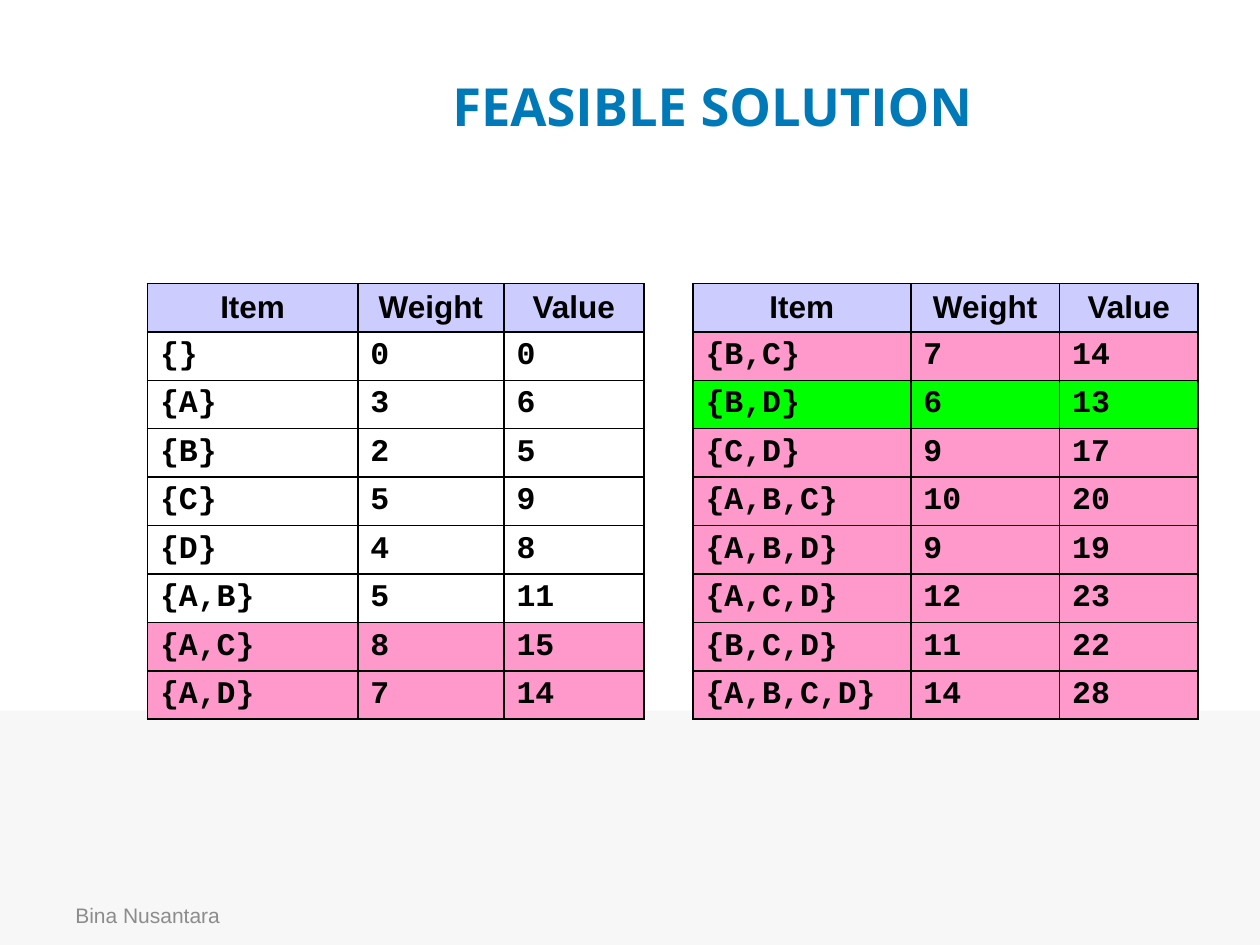
import itertools

import pptx
import pptx.dml.color
import pptx.enum.shapes
import pptx.enum.text
import pptx.oxml
import pptx.oxml.ns
import pptx.util

Inches = pptx.util.Inches
Pt = pptx.util.Pt
ALIGN = pptx.enum.text.PP_ALIGN
MIDDLE = pptx.enum.text.MSO_ANCHOR.MIDDLE

COLORS = {
    "page": "FFFFFF",
    "band": "F7F7F7",
    "footer": "8C8C8C",
    "title": "0079B8",
    "ink": "000000",
    "header": "CCCCFF",
    "too_heavy": "FF99CC",
    "best": "00FF00",
}

HEADINGS = ("Item", "Weight", "Value")
ITEMS = {"A": (3, 6), "B": (2, 5), "C": (5, 9), "D": (4, 8)}  # weight, value
CAPACITY = 6
ROWS_PER_SIDE = 8
GAP_COLUMN = len(HEADINGS)
COLUMN_WIDTHS = (1.67, 1.16, 1.11, 0.39, 1.73, 1.18, 1.1)
TABLE_HEIGHT = 3.46


def rgb(name):
    return pptx.dml.color.RGBColor.from_string(COLORS[name])


def write_text(frame, text, *, size, font, color="ink", bold=False, align=ALIGN.LEFT):
    paragraph = frame.paragraphs[0]
    paragraph.alignment = align
    run = paragraph.add_run()
    run.text = text
    run.font.size = Pt(size)
    run.font.name = font
    run.font.bold = bold
    run.font.color.rgb = rgb(color)


def set_borders(cell, sides):
    """Rule the given sides (L, R, T, B) and leave the others open."""
    properties = cell._tc.get_or_add_tcPr()
    for position, side in enumerate("LRTB"):
        paint = (
            f'<a:solidFill><a:srgbClr val="{COLORS["ink"]}"/></a:solidFill>'
            if side in sides
            else "<a:noFill/>"
        )
        line = pptx.oxml.parse_xml(
            f'<a:ln{side} {pptx.oxml.ns.nsdecls("a")} w="{Pt(1)}">{paint}</a:ln{side}>'
        )
        properties.insert(position, line)


def knapsack_rows():
    """Every subset of the items with its total weight, value and row colour."""
    subsets = [
        (
            "{" + ",".join(names) + "}",
            sum(ITEMS[name][0] for name in names),
            sum(ITEMS[name][1] for name in names),
        )
        for count in range(len(ITEMS) + 1)
        for names in itertools.combinations(ITEMS, count)
    ]
    best_value = max(value for _, weight, value in subsets if weight <= CAPACITY)
    rows = []
    for subset, weight, value in subsets:
        if weight > CAPACITY:
            fill = "too_heavy"
        else:
            fill = "best" if value == best_value else None
        rows.append(((subset, weight, value), fill))
    return rows


class SlideBuilder:
    """Holds the text style of the table and the slide being filled."""

    heading_style = {"size": 18, "font": "Arial", "bold": True, "align": ALIGN.CENTER}
    entry_style = {"size": 18, "font": "Courier New", "bold": True}

    def __init__(self, slide):
        self.slide = slide
        slide.background.fill.solid()
        slide.background.fill.fore_color.rgb = rgb("page")

    def band(self, left, top, width, height, color):
        band = self.slide.shapes.add_shape(
            pptx.enum.shapes.MSO_SHAPE.RECTANGLE,
            Inches(left), Inches(top), Inches(width), Inches(height),
        )
        band.shadow.inherit = False
        band.fill.solid()
        band.fill.fore_color.rgb = rgb(color)
        band.line.fill.background()

    def text(self, left, top, width, height, text, **style):
        box = self.slide.shapes.add_textbox(
            Inches(left), Inches(top), Inches(width), Inches(height)
        )
        box.text_frame.word_wrap = True
        box.text_frame.vertical_anchor = MIDDLE
        write_text(box.text_frame, text, **style)

    def fill_cell(self, cell, text, fill, style):
        write_text(cell.text_frame, str(text), **style)
        if fill:
            cell.fill.solid()
            cell.fill.fore_color.rgb = rgb(fill)

    def paired_table(self, left, top, sides):
        """Put two lists side by side in one table, with an open column between."""
        row_count = ROWS_PER_SIDE + 1
        table = self.slide.shapes.add_table(
            row_count, len(COLUMN_WIDTHS),
            Inches(left), Inches(top), Inches(sum(COLUMN_WIDTHS)), Inches(TABLE_HEIGHT),
        ).table
        table.first_row = table.horz_banding = False
        for column, width in zip(table.columns, COLUMN_WIDTHS):
            column.width = Inches(width)
        for row in table.rows:
            row.height = Inches(TABLE_HEIGHT / row_count)
            for index, cell in enumerate(row.cells):
                cell.vertical_anchor = MIDDLE
                cell.margin_top = cell.margin_bottom = Inches(0.03)
                cell.fill.background()
                set_borders(cell, "LR" if index == GAP_COLUMN else "LRTB")

        for side, rows in enumerate(sides):
            first_column = side * (GAP_COLUMN + 1)
            for row, (entries, fill) in enumerate([(HEADINGS, "header"), *rows]):
                style = self.entry_style if row else self.heading_style
                for column, entry in enumerate(entries, first_column):
                    self.fill_cell(table.cell(row, column), entry, fill, style)


def main():
    deck = pptx.Presentation()
    deck.slide_width, deck.slide_height = Inches(10), Inches(7.5)
    builder = SlideBuilder(deck.slides.add_slide(deck.slide_layouts[6]))

    builder.band(0, 5.64, 10, 1.86, "band")
    builder.text(0.5, 7.06, 2.33, 0.4, "Bina Nusantara",
                 size=12, font="Arial", color="footer")
    builder.text(1.79, 0.21, 7.73, 1.25, "FEASIBLE SOLUTION",
                 size=30, font="Open Sans", color="title", bold=True, align=ALIGN.CENTER)
    rows = knapsack_rows()
    builder.paired_table(1.17, 2.25, (rows[:ROWS_PER_SIDE], rows[ROWS_PER_SIDE:]))

    deck.save("out.pptx")


if __name__ == "__main__":
    main()
